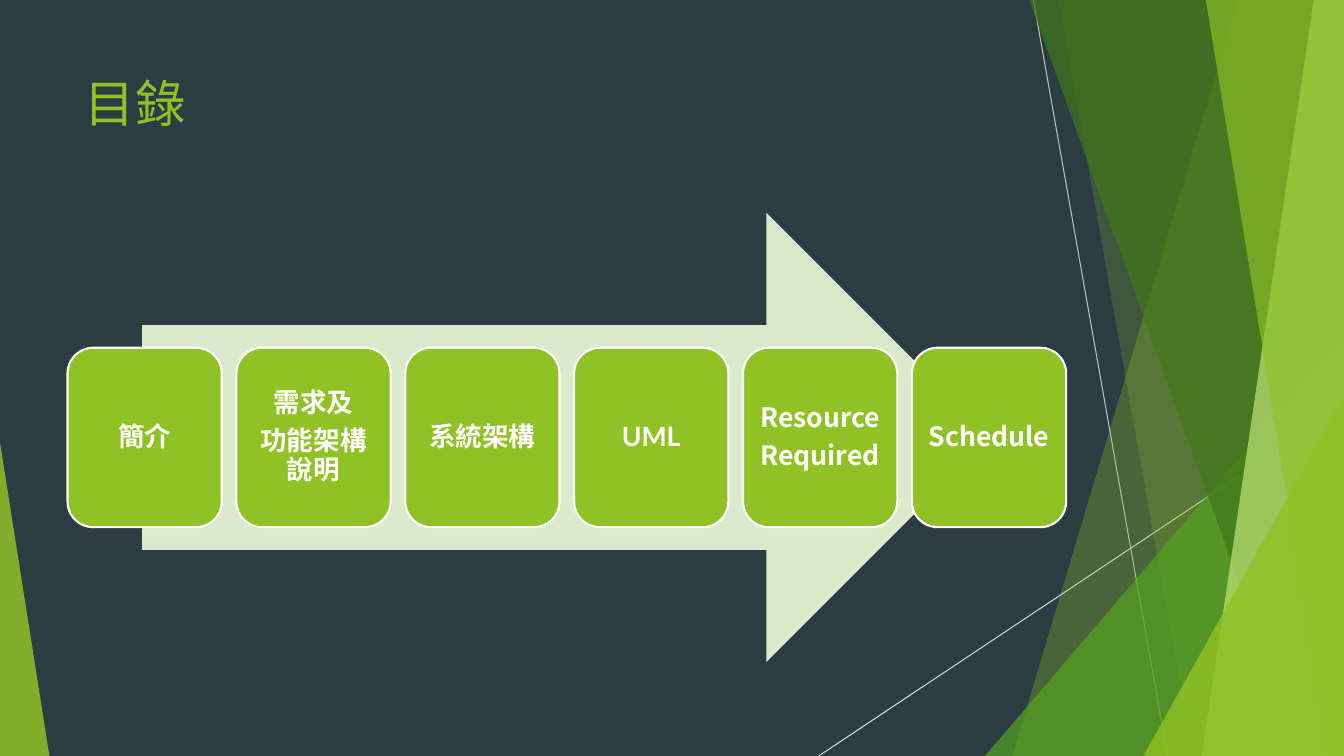
from pptx import Presentation, util as u
from pptx.dml.color import RGBColor
from pptx.enum import shapes, text
from pptx.oxml.ns import qn
from lxml import etree

WIDTH, HEIGHT = 13.33, 7.5
LIME, WHITE = "90C226", "FFFFFF"
LATIN, CJK = "Lato", "Noto Sans CJK SC"

TITLE = "目錄"
STEPS = [
    (["簡介"], LATIN),
    (["需求及", "功能架構說明"], LATIN),
    (["系統架構"], LATIN),
    (["UML"], LATIN),
    (["Resource", "Required"], CJK),
    (["Schedule"], CJK),
]
RAYS = [
    ((10.25, 0), (11.58, HEIGHT), "BFBFBF"),
    ((WIDTH, 4.03), (8.12, HEIGHT), "D9D9D9"),
]
RIGHT_TOP, RIGHT_BOTTOM = (WIDTH, 0), (WIDTH, HEIGHT)
FACETS = [
    ([(12.28, 0), RIGHT_TOP, RIGHT_BOTTOM, (10.04, HEIGHT)], LIME, 30),
    ([(10.5, 0), RIGHT_TOP, RIGHT_BOTTOM, (11.83, HEIGHT)], LIME, 20),
    ([(WIDTH, 3.33), RIGHT_BOTTOM, (9.77, HEIGHT)], "54A021", 72),
    ([(10.21, 0), RIGHT_TOP, RIGHT_BOTTOM, (12.91, HEIGHT)], "3F7819", 70),
    ([(13.03, 0), RIGHT_TOP, RIGHT_BOTTOM, (11.92, HEIGHT)], "C0E474", 70),
    ([(11.96, 0), RIGHT_TOP, RIGHT_BOTTOM, (13.18, HEIGHT)], LIME, 65),
    ([(WIDTH, 3.93), RIGHT_BOTTOM, (11.34, HEIGHT)], LIME, 80),
    ([(0, 4.39), (0.49, HEIGHT), (0, HEIGHT)], LIME, 85),
]
ARROW = (1.41, 2.11, 8.42, 4.46)
STEP_LEFT, STEP_WIDTH, STEP_HEIGHT, STEP_PITCH = 0.67, 1.53, 1.78, 1.675
STEP_TOP = ARROW[1] + (ARROW[3] - STEP_HEIGHT) / 2


def inches(*lengths):
    return [u.Inches(length) for length in lengths]


def paint(fill, color):
    fill.solid()
    fill.fore_color.rgb = RGBColor.from_string(color)


def style(paragraph, font, size, color, bold=False):
    paragraph.font.name = font
    paragraph.font.size = u.Pt(size)
    paragraph.font.bold = bold
    paragraph.font.color.rgb = RGBColor.from_string(color)


def add_ray(slide, start, end, color):
    ray = slide.shapes.add_connector(
        shapes.MSO_CONNECTOR.STRAIGHT, *inches(*start, *end))
    paint(ray.line.fill, color)
    ray.line.width = u.Pt(0.75)
    etree.SubElement(ray._element.spPr, qn("a:effectLst"))


def add_facet(slide, corners, color, opacity):
    first, *rest = [inches(*corner) for corner in corners]
    outline = slide.shapes.build_freeform(*first)
    outline.add_line_segments(rest, close=True)
    facet = outline.convert_to_shape()
    facet.shadow.inherit = False
    facet.line.fill.background()
    paint(facet.fill, color)
    tint = facet._element.spPr.find(".//" + qn("a:srgbClr"))
    etree.SubElement(tint, qn("a:alpha"), val=str(opacity * 1000))


def add_title(slide):
    title = slide.shapes.title
    title.left, title.top, title.width, title.height = inches(0.74, 0.67, 9.4, 1.44)
    frame = title.text_frame
    frame.text = TITLE
    frame.vertical_anchor = text.MSO_ANCHOR.TOP
    frame.paragraphs[0].alignment = text.PP_ALIGN.LEFT
    style(frame.paragraphs[0], LATIN, 36, LIME)


def add_arrow(slide):
    arrow = slide.shapes.add_shape(shapes.MSO_SHAPE.RIGHT_ARROW, *inches(*ARROW))
    arrow.shadow.inherit = False
    arrow.line.fill.background()
    paint(arrow.fill, "DBE9CD")


def add_step(slide, column, lines, font):
    step = slide.shapes.add_shape(
        shapes.MSO_SHAPE.ROUNDED_RECTANGLE,
        *inches(STEP_LEFT + column * STEP_PITCH, STEP_TOP, STEP_WIDTH, STEP_HEIGHT))
    step.shadow.inherit = False
    paint(step.fill, LIME)
    paint(step.line.fill, WHITE)
    step.line.width = u.Pt(1.5)
    frame = step.text_frame
    frame.word_wrap = True
    frame.vertical_anchor = text.MSO_ANCHOR.MIDDLE
    frame.margin_left = frame.margin_right = u.Inches(0.08)
    frame.margin_top = frame.margin_bottom = u.Inches(0.08)
    frame.text = "\n".join(lines)
    for paragraph in frame.paragraphs:
        paragraph.alignment = text.PP_ALIGN.CENTER
        paragraph.line_spacing = 0.9
        paragraph.space_after = u.Pt(6.65)
        style(paragraph, font, 19, WHITE, bold=True)


def main():
    deck = Presentation()
    deck.slide_width, deck.slide_height = inches(WIDTH, HEIGHT)
    slide = deck.slides.add_slide(deck.slide_layouts[5])
    paint(slide.background.fill, "2C3C43")
    for ray in RAYS:
        add_ray(slide, *ray)
    for facet in FACETS:
        add_facet(slide, *facet)
    add_title(slide)
    add_arrow(slide)
    for column, step in enumerate(STEPS):
        add_step(slide, column, *step)
    deck.save("out.pptx")


if __name__ == "__main__":
    main()
